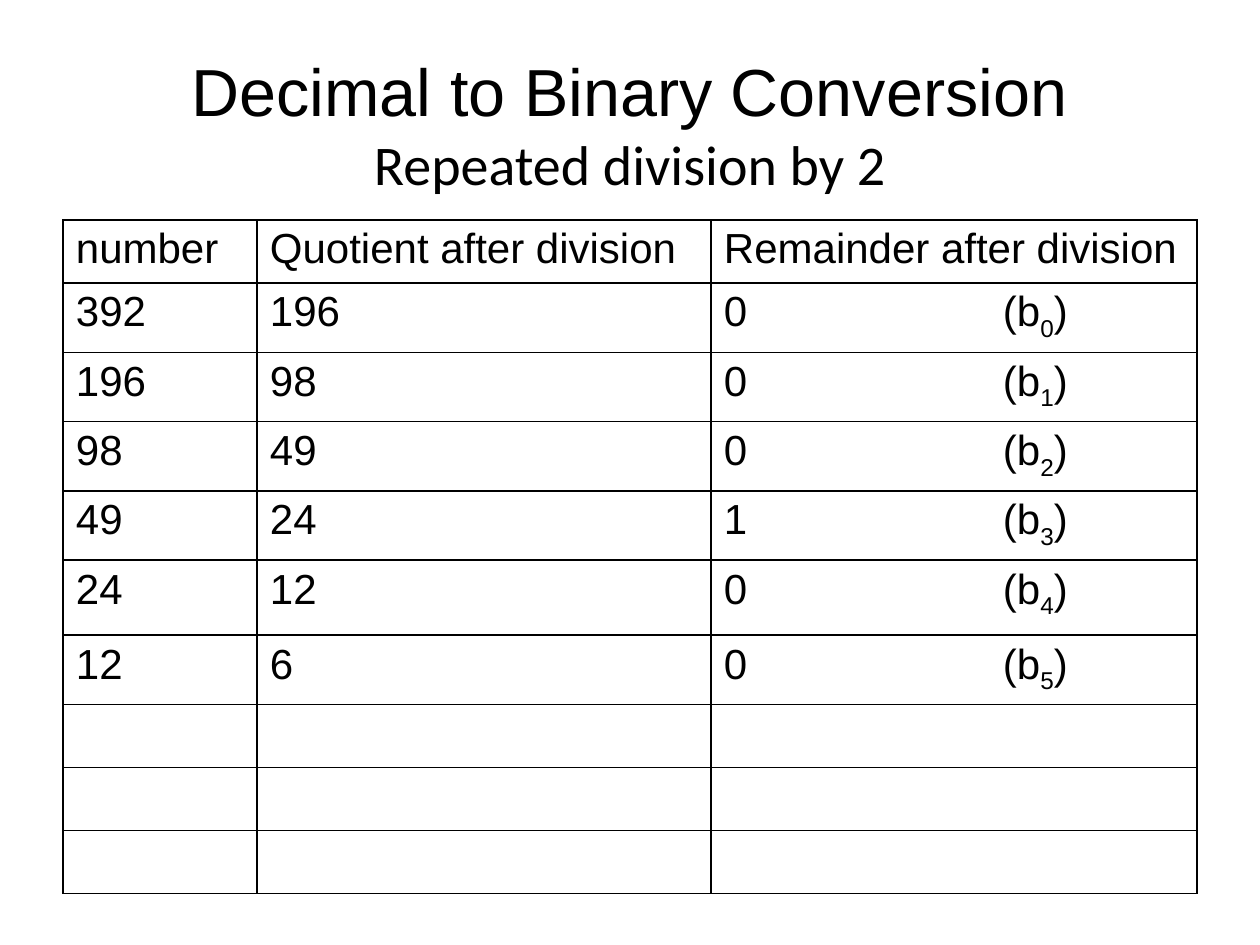
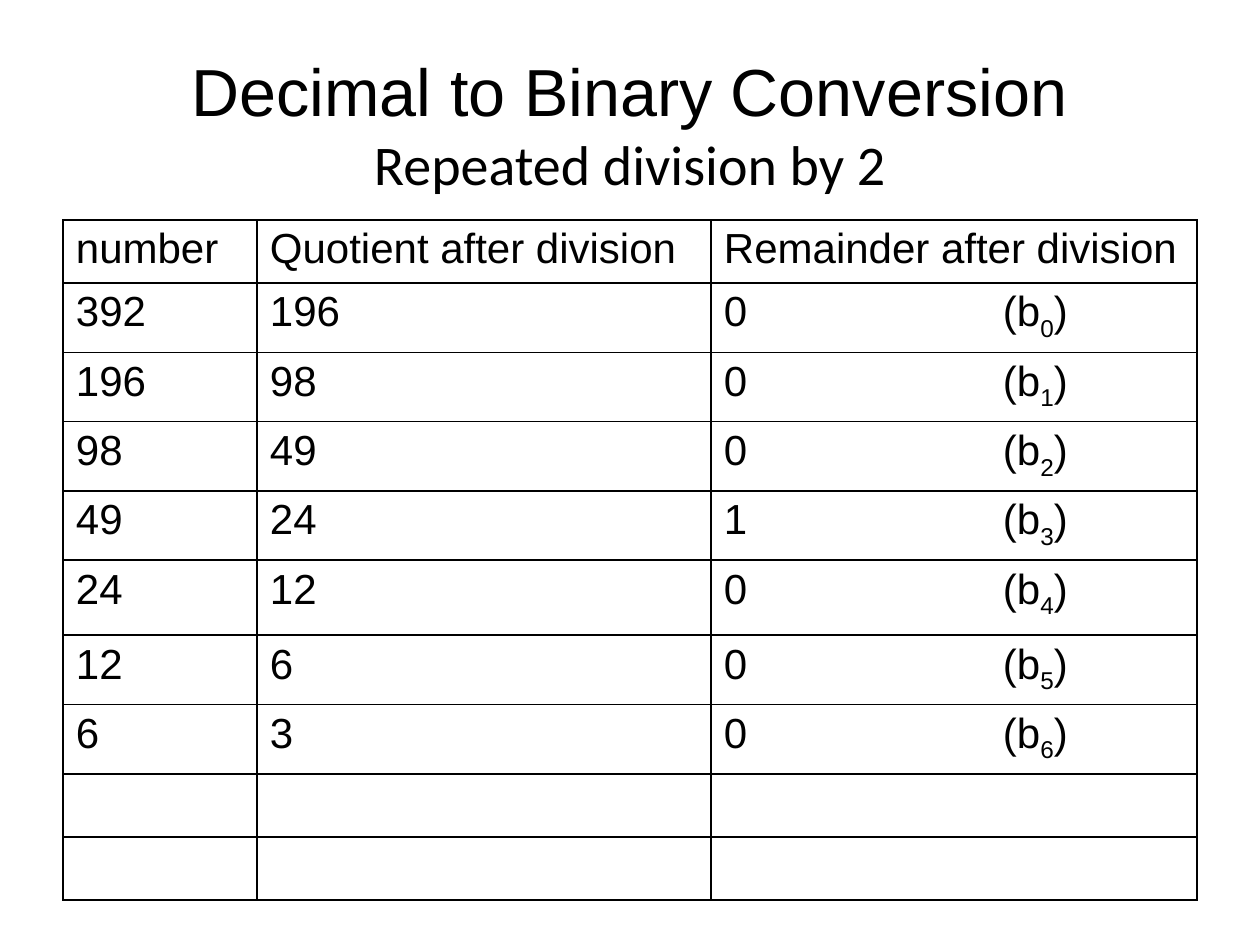
import pptx
import pptx.util
import pptx.dml.color
import pptx.enum.text
import pptx.oxml.ns
import lxml.etree

HEADS = ["number", "Quotient after division", "Remainder after division"]
STEPS = [
    (392, 196, 0),
    (196, 98, 0),
    (98, 49, 0),
    (49, 24, 1),
    (24, 12, 0),
    (12, 6, 0),
    (6, 3, 0),
]
SHOWN = [6, 7]
TITLE = [
    ("Decimal to Binary Conversion", {"size": pptx.util.Pt(38), "name": "Arial"}),
    ("Repeated division by 2", {"size": pptx.util.Pt(32), "name": "Calibri"}),
]

BLACK = pptx.dml.color.RGBColor(0, 0, 0)
BODY = {"size": pptx.util.Pt(24), "name": "Arial"}
ALIGN = pptx.enum.text.PP_ALIGN
EMU = pptx.util.Inches(1) / 126


def px(num):
    return pptx.util.Emu(round(num * EMU))


COLS = [194, 454, 486]
ROWS = [63] * 5 + [75] + [63] * 4
LEFT, WIDE = 63, sum(COLS)
TAB = 279
FRAME = {
    "word_wrap": True,
    "vertical_anchor": pptx.enum.text.MSO_ANCHOR.MIDDLE,
    "margin_left": px(13),
    "margin_right": px(13),
    "margin_top": px(19),
    "margin_bottom": px(6),
}
INSET = {
    "margin_left": px(13),
    "margin_right": px(13),
    "margin_top": px(6),
    "margin_bottom": px(6),
}


def apply(item, form):
    for key, val in form.items():
        setattr(item, key, val)


def node(parent, tag, **attrs):
    return lxml.etree.SubElement(parent, pptx.oxml.ns.qn(tag), **attrs)


def write(para, text, form):
    run = para.add_run()
    run.text = text
    apply(run.font, form)
    run.font.color.rgb = BLACK
    return run


def border(cell):
    props = cell._tc.get_or_add_tcPr()
    for side in "LRTB":
        line = node(props, f"a:ln{side}", w=str(pptx.util.Pt(1)))
        fill = node(line, "a:solidFill")
        node(fill, "a:srgbClr", val=str(BLACK))


def add_title(slide):
    box = slide.shapes.add_textbox(px(LEFT), px(38), px(WIDE), px(157))
    apply(box.text_frame, FRAME)
    para = box.text_frame.paragraphs[0]
    para.alignment = ALIGN.CENTER
    for pos, (text, form) in enumerate(TITLE):
        if pos:
            para.add_line_break()
        write(para, text, form)


def add_bit(para, rest, bit):
    tabs = node(para._p.get_or_add_pPr(), "a:tabLst")
    node(tabs, "a:tab", pos=str(px(TAB)), algn="l")
    write(para, f"{rest}\t(b", BODY)
    low = write(para, str(bit), BODY)
    low._r.get_or_add_rPr().set("baseline", "-25000")
    write(para, ")", BODY)


def add_grid(slide, steps):
    frame = slide.shapes.add_table(
        len(ROWS), len(COLS), px(LEFT), px(220), px(WIDE), px(sum(ROWS)))
    grid = frame.table
    apply(grid, {"first_row": False, "horz_banding": False})
    for col, wide in zip(grid.columns, COLS):
        col.width = px(wide)
    for row, high in zip(grid.rows, ROWS):
        row.height = px(high)
    for cell in grid.iter_cells():
        border(cell)
        cell.fill.background()
        apply(cell, INSET)
    for r, vals in enumerate([HEADS] + steps):
        for c, val in enumerate(vals):
            para = grid.cell(r, c).text_frame.paragraphs[0]
            para.alignment = ALIGN.JUSTIFY
            if r and c == 2:
                add_bit(para, val, r - 1)
            else:
                write(para, str(val), BODY)


def main():
    deck = pptx.Presentation()
    apply(deck, {"slide_width": px(1260), "slide_height": px(945)})
    for count in SHOWN:
        slide = deck.slides.add_slide(deck.slide_layouts[6])
        add_title(slide)
        add_grid(slide, STEPS[:count])
    deck.save("out.pptx")


if __name__ == "__main__":
    main()
